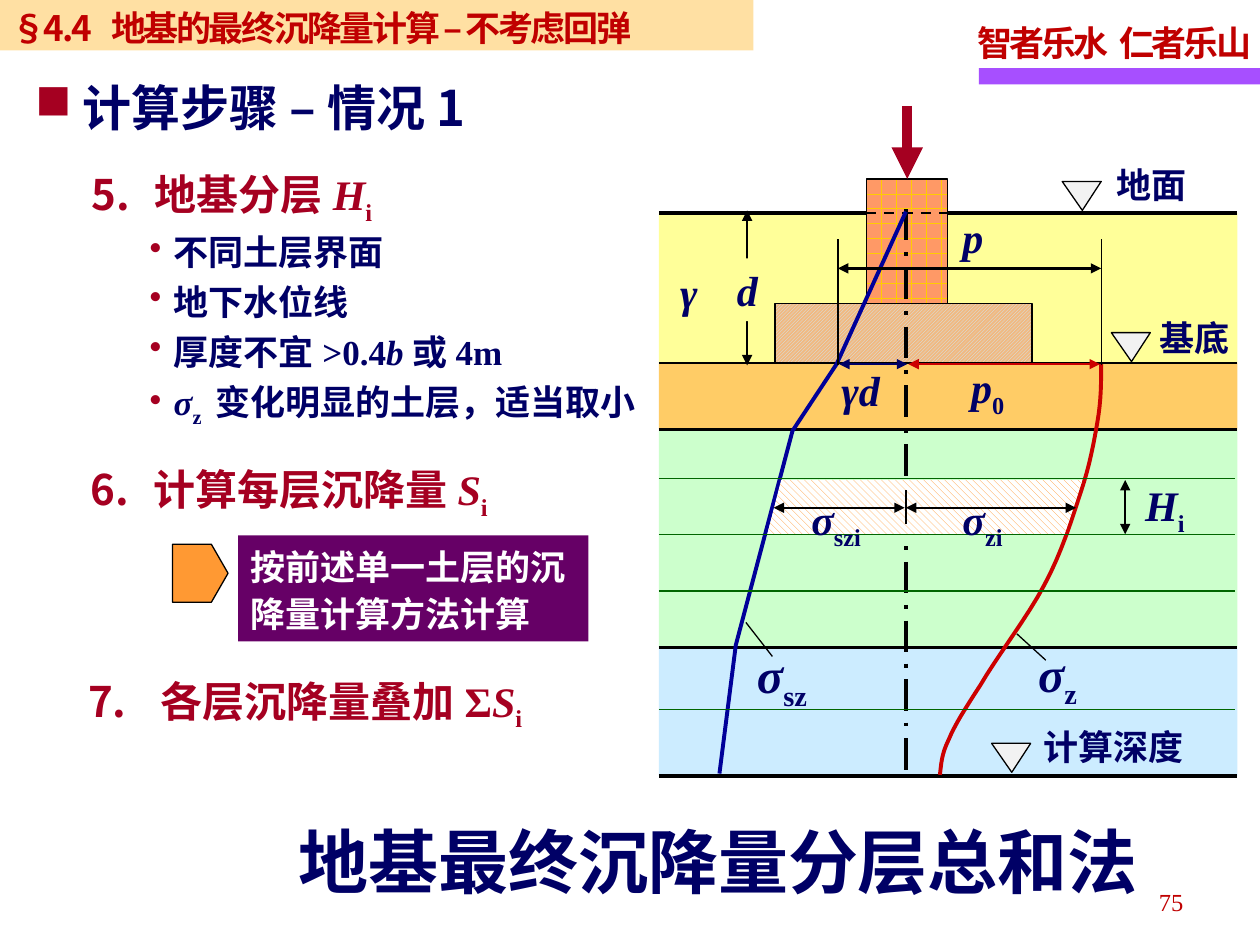
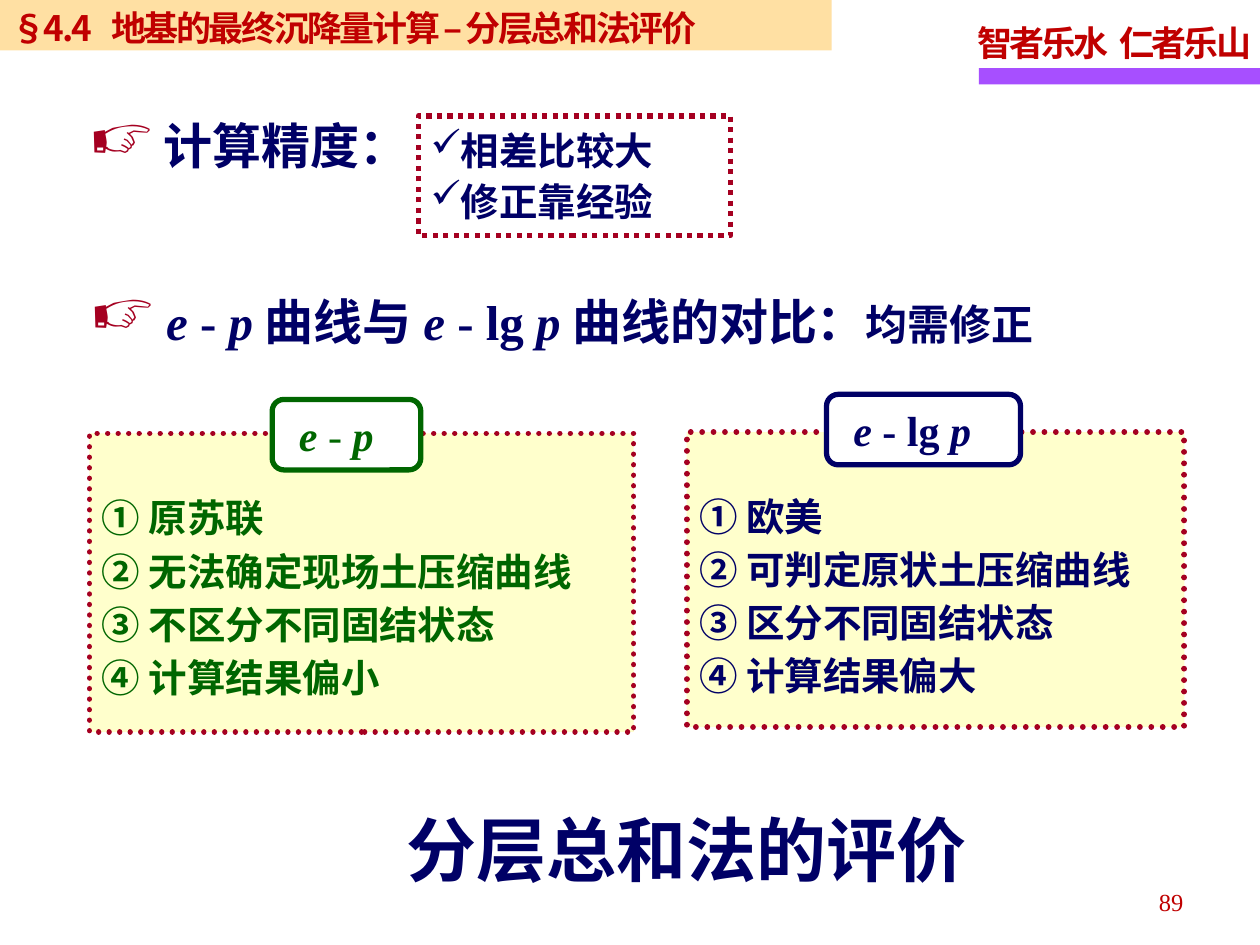
from lxml.etree import SubElement
from pptx import Presentation
from pptx.dml.color import RGBColor
from pptx.enum.dml import MSO_LINE, MSO_PATTERN
from pptx.enum.shapes import MSO_CONNECTOR, MSO_SHAPE
from pptx.enum.text import MSO_ANCHOR, PP_ALIGN
from pptx.oxml.ns import qn
from pptx.util import Pt

PX = 9144  # 100 px to the inch
SERIF, SANS, ROBOTO = "Times New Roman", "Noto Sans CJK SC", "Roboto"
COLORS = {
    "black": "000000", "white": "FFFFFF", "navy": "000066", "crimson": "A50021",
    "red": "C00000", "curve_red": "CC0000", "curve_blue": "000099", "green": "006600",
    "violet": "A74FFF", "purple": "660066", "amber": "FFCC66", "orange": "FF9933",
    "sand": "FFFF99", "mint": "CCFFCC", "water": "CCECFF", "cream": "FFFFCC",
    "grey": "F2F2F2", "footing": "F1B981", "brick": "FF9966", "joint": "FFCC00",
}
RGB = {name: RGBColor.from_string(value) for name, value in COLORS.items()}
ITALIC, UPRIGHT, SUB = {"italic": True}, {}, {"sub": True}
GAP = {"track": 1.7}


def block(slide, kind, at, paragraphs=(), fill=None, line=None, width=0.75, dash=None,
          insets=(10, 5, 10, 5), anchor=MSO_ANCHOR.TOP, align=PP_ALIGN.LEFT, spacing=None,
          gap=0, bullet=None, indent=0, **style):
    """Add a preset shape (or a text box if kind is None); each paragraph is a list of (text, style) runs.

    bullet is a start number, or a (character, colour, percent) tuple.
    """
    box = [value * PX for value in at]
    if kind is None:
        shape = slide.shapes.add_textbox(*box)
    else:
        shape = slide.shapes.add_shape(kind, *box)
        shape.shadow.inherit = False
    if isinstance(fill, tuple):
        shape.fill.patterned()
        shape.fill.pattern = fill[0]
        shape.fill.fore_color.rgb, shape.fill.back_color.rgb = RGB[fill[1]], RGB[fill[2]]
    elif fill:
        shape.fill.solid()
        shape.fill.fore_color.rgb = RGB[fill]
    else:
        shape.fill.background()
    if line:
        shape.line.color.rgb = RGB[line]
        shape.line.width = Pt(width)
        shape.line.dash_style = dash
    else:
        shape.line.fill.background()

    frame = shape.text_frame
    frame.word_wrap = True
    frame.vertical_anchor = anchor
    frame.margin_left, frame.margin_top, frame.margin_right, frame.margin_bottom = (
        value * PX for value in insets)
    for index, runs in enumerate(paragraphs):
        paragraph = frame.add_paragraph() if index else frame.paragraphs[0]
        properties = paragraph._p.get_or_add_pPr()
        if indent:
            properties.set("marL", str(indent * PX))
            properties.set("indent", str(-indent * PX))
        if isinstance(bullet, int):
            SubElement(properties, qn("a:buFont"), typeface=SANS)
            SubElement(properties, qn("a:buAutoNum"), type="arabicPeriod", startAt=str(bullet))
        elif bullet:
            character, color, percent = bullet
            bullet_color = SubElement(properties, qn("a:buClr"))
            SubElement(bullet_color, qn("a:srgbClr"), val=COLORS[color])
            SubElement(properties, qn("a:buSzPct"), val=str(percent * 1000))
            SubElement(properties, qn("a:buChar"), char=character)
        paragraph.alignment = align
        if spacing:
            paragraph.line_spacing = spacing
        paragraph.space_before = Pt(gap if index else 0)
        paragraph.space_after = Pt(gap)
        for text, changes in runs:
            look = {"size": 20, "color": "navy", "font": SERIF, "bold": True, **style, **changes}
            run = paragraph.add_run()
            run.text = text
            run.font.name, run.font.size = look["font"], Pt(look["size"])
            run.font.bold, run.font.italic = look["bold"], look.get("italic", False)
            run.font.color.rgb = RGB[look["color"]]
            run_properties = run._r.get_or_add_rPr()
            SubElement(run_properties, qn("a:ea"), typeface=SANS)
            if look.get("sub"):
                run_properties.set("baseline", "-25000")
            if "track" in look:
                run_properties.set("spc", str(round(look["track"] * 100)))
    return shape


def connect(slide, start, end, color="black", width=0.75, heads="", dash=None):
    """Add a straight line; heads may hold "head", "tail" or both."""
    connector = slide.shapes.add_connector(
        MSO_CONNECTOR.STRAIGHT, *(value * PX for value in (*start, *end)))
    connector.line.color.rgb = RGB[color]
    connector.line.width = Pt(width)
    connector.line.dash_style = dash
    outline = connector.line._get_or_add_ln()
    for side in ("head", "tail"):
        if side in heads:
            SubElement(outline, qn(f"a:{side}End"), type="triangle")
    SubElement(connector._element.spPr, qn("a:effectLst"))
    return connector


presentation = Presentation()
presentation.slide_width, presentation.slide_height = 1000 * PX, 750 * PX
RECT, ROUND = MSO_SHAPE.RECTANGLE, MSO_SHAPE.ROUNDED_RECTANGLE

# Motto, section band, large caption and page number on both slides
slides = []
for topic, band_width, caption, caption_box, page in (
    ("不考虑回弹", 599, "地基最终沉降量分层总和法", (208, 645, 724, 77), "75"),
    ("分层总和法评价", 661, "分层总和法的评价", (235, 635, 620, 77), "89"),
):
    slide = presentation.slides.add_slide(presentation.slide_layouts[6])
    slides.append(slide)
    block(slide, RECT, (777, 54, 223, 13), fill="violet")
    block(slide, None, (766, 7, 234, 49),
          [[("智者乐水", {}), (" ", GAP), ("仁者乐山", {})]],
          insets=(10, 5, 0, 5), spacing=1.15, color="red", track=-1.7)
    band = block(slide, RECT, (-1, 0, band_width, 40),
                 [[("§4.4", {}), (" ", GAP), (f"地基的最终沉降量计算 – {topic}", {})]],
                 fill="amber", font=SANS, color="red", track=-1.4)
    band_color = band._element.spPr.find(".//" + qn("a:srgbClr"))
    SubElement(band_color, qn("a:alpha"), val="60000")
    block(slide, None, caption_box, [[(caption, {})]], insets=(0, 5, 0, 5),
          align=PP_ALIGN.CENTER, size=40, font=SANS)
    block(slide, None, (716, 696, 233, 40), [[(page, {})]], align=PP_ALIGN.RIGHT,
          spacing=1.15, size=14, color="red", bold=False)
steps, review = slides

# Slide 1: calculation steps
block(steps, None, (18, 57, 388, 57),
      [[(" 计算步骤 ", {}), ("– ", {"font": SERIF}), ("情况1", {})]],
      bullet=("■", "crimson", 100), size=28, font=SANS)
for number, at, label, symbol in (
    (5, (63, 120, 283, 54), "地基分层", "H"),
    (6, (62, 354, 401, 54), "计算每层沉降量", "S"),
    (7, (60, 522, 401, 54), " 各层沉降量叠加Σ", "S"),
):
    block(steps, None, at, [[(label, {}), (symbol, ITALIC), ("i", SUB)]],
          bullet=number, indent=50, spacing=1.2, size=24, color="crimson")
block(steps, None, (109, 175, 430, 168),
      [[("不同土层界面", {})],
       [("地下水位线", {})],
       [("厚度不宜>0.4", {}), ("b", ITALIC), ("或4m", {})],
       [("σ", ITALIC), ("z ", SUB), ("变化明显的土层，适当取小", {})]],
      bullet=("•", "crimson", 100), indent=19, spacing=1.1, gap=1)
block(steps, RECT, (189, 425, 278, 84), [[("按前述单一土层的沉降量计算方法计算", {})]],
      fill="purple", spacing=1.1, color="white")
pointer = block(steps, MSO_SHAPE.PENTAGON, (137, 432, 44, 46), fill="orange", line="black")
pointer.adjustments[0] = 0.3

# Soil profile
soil_left, soil_right, axis_x = 523, 982, 719
boundaries = (169, 288, 341, 514, 616)
for top, bottom, soil in zip(boundaries, boundaries[1:], ("sand", "amber", "mint", "water")):
    block(steps, RECT, (soil_left, top, soil_right - soil_left, bottom - top), fill=soil)
for y in boundaries:
    outer = y in (boundaries[0], boundaries[-1])
    connect(steps, (soil_left, y), (soil_right, y), width=2.25 if outer else 1.5)

# Foundation, load and depth
block(steps, RECT, (615, 241, 204, 47), line="black", width=1,
      fill=(MSO_PATTERN.DARK_UPWARD_DIAGONAL, "water", "footing"))
column = block(steps, RECT, (688, 142, 64, 99), line="black",
               fill=(MSO_PATTERN.HORIZONTAL_BRICK, "joint", "brick"))
load = connect(steps, (720, 84), (720, 142), "crimson", 6, "tail")
load.end_connect(column, 0)
connect(steps, (593, 167), (593, 290), width=1.5, heads="head tail")
connect(steps, (687, 169), (757, 169), width=1.5, dash=MSO_LINE.DASH)
connect(steps, (axis_x, 166), (axis_x, 615), width=2.25, dash=MSO_LINE.LONG_DASH_DOT)

# Stress curves, sliced layer and level marks
red_bends = ((874, 289), (874, 303), (874, 318), (871, 335), (868, 352), (865, 369),
             (858, 390), (851, 411), (843, 438), (829, 464), (816, 489), (790, 523),
             (778, 544), (765, 564), (758, 575), (753, 587), (747, 599), (747, 607), (746, 615))
red_curve = [red_bends[0]]
for first in range(0, len(red_bends) - 1, 3):
    for step in range(1, 9):
        t = step / 8
        weights = ((1 - t) ** 3, 3 * t * (1 - t) ** 2, 3 * t * t * (1 - t), t ** 3)
        red_curve.append(tuple(
            sum(weight * point[axis] for weight, point in zip(weights, red_bends[first:first + 4]))
            for axis in (0, 1)))
blue_curve = [(719, 168), (664, 289), (629, 342), (584, 512), (571, 614)]
slice_outline = [(620, 381), (859, 381), (852, 403), (845, 424), (609, 424)]
level_marks = [[(x, y), (x + 31, y), (x + 16, y + 23)]
               for x, y in ((843, 144), (882, 264), (787, 590))]
hatch = (MSO_PATTERN.WIDE_DOWNWARD_DIAGONAL, "orange", "white")
for points, fill, line, width in (
    (blue_curve, None, "curve_blue", 2.25),
    (red_curve, None, "curve_red", 2.25),
    (slice_outline, hatch, None, 0),
    *((mark, "grey", "black", 0.75) for mark in level_marks),
):
    corners = [(x * PX, y * PX) for x, y in points]
    builder = steps.shapes.build_freeform(*corners[0], scale=1.0)
    builder.add_line_segments(corners[1:], close=fill is not None)
    outline = builder.convert_to_shape()
    outline.shadow.inherit = False
    if fill is hatch:
        outline.fill.patterned()
        outline.fill.pattern = hatch[0]
        outline.fill.fore_color.rgb, outline.fill.back_color.rgb = RGB[hatch[1]], RGB[hatch[2]]
    elif fill:
        outline.fill.solid()
        outline.fill.fore_color.rgb = RGB[fill]
    else:
        outline.fill.background()
    if line:
        outline.line.color.rgb = RGB[line]
        outline.line.width = Pt(width)
    else:
        outline.line.fill.background()

# Dimension arrows, leaders and sublayer lines
for start, end, color, width, heads in (
    ((874, 290), (874, 190), "black", 0.75, ""),
    ((665, 290), (665, 190), "black", 0.75, ""),
    ((665, 213), (874, 213), "black", 1.5, "head tail"),
    ((721, 289), (873, 289), "curve_red", 1.5, "head tail"),
    ((666, 289), (720, 289), "navy", 1.5, "head tail"),
    ((592, 494), (613, 521), "black", 0.75, ""),
    ((807, 503), (830, 524), "black", 0.75, ""),
    ((893, 381), (893, 424), "black", 1.5, "head tail"),
    ((614, 403), (718, 403), "black", 1, "head tail"),
    ((719, 403), (854, 403), "black", 1, "head tail"),
    ((axis_x, 389), (axis_x, 416), "black", 1, ""),
):
    connect(steps, start, end, color, width, heads)
for y in (380, 424, 469, 563):
    connect(steps, (soil_left, y), (980, y), "green")

# Symbols and level names
for at, symbol, subscript, size, fill in (
    ((575, 205, 35, 50), "d", "", 24, "sand"),
    ((530, 207, 35, 50), "γ", "", 24, "sand"),
    ((754, 163, 52, 50), "p", "", 24, None),
    ((761, 282, 85, 50), "p", "0", 24, None),
    ((658, 284, 70, 50), "γd", "", 24, None),
    ((814, 506, 80, 57), "σ", "z", 28, None),
    ((591, 507, 90, 57), "σ", "sz", 28, None),
    ((899, 376, 66, 50), "H", "i", 24, None),
    ((634, 387, 85, 50), "σ", "szi", 24, None),
    ((754, 387, 80, 50), "σ", "zi", 24, None),
):
    runs = [(symbol, ITALIC)] + ([(subscript, SUB)] if subscript else [])
    block(steps, None, at, [runs], fill=fill, size=size)
for at, name in (((876, 125, 105, 43), "地面"), ((910, 246, 81, 43), "基底"),
                 ((818, 571, 153, 43), "计算深度")):
    block(steps, None, at, [[(name, {})]], font=ROBOTO)

# Slide 2: accuracy and comparison of the two curves
hand = ("☞", "crimson", 130)
block(review, ROUND, (58, 84, 369, 62), [[(" 计算精度：", {})]], bullet=hand, size=28)
block(review, RECT, (332, 92, 248, 95), [[("相差比较大", {})], [("修正靠经验", {})]],
      line="crimson", width=3, dash=MSO_LINE.ROUND_DOT, bullet=("✓", "navy", 100),
      spacing=1.1, size=22, font=SANS)
block(review, ROUND, (59, 223, 799, 64),
      [[(" ", {}), ("e ", ITALIC), ("- ", {}), ("p", ITALIC), ("曲线与", {}),
        ("e ", ITALIC), ("- lg ", {}), ("p", ITALIC), ("曲线的对比：", {}),
        ("均需修正", {"size": 24})]],
      bullet=hand, size=28)
for card_box, dot_width, tag_box, operator, operator_style, color, points in (
    ((71, 344, 432, 237), 3, (216, 317, 118, 56), "- ", {"bold": False}, "green",
     ("① 原苏联", "② 无法确定现场土压缩曲线", "③ 不区分不同固结状态", "④ 计算结果偏小")),
    ((545, 343, 395, 234), 3.25, (656, 313, 154, 56), "- lg ", {}, "navy",
     ("① 欧美", "② 可判定原状土压缩曲线", "③ 区分不同固结状态", "④ 计算结果偏大")),
):
    card = block(review, RECT, card_box, [[(point, {})] for point in points],
                 fill="cream", line="crimson", width=dot_width, dash=MSO_LINE.ROUND_DOT,
                 insets=(10, 43, 10, 5), spacing=1.15, size=22, font=SANS, color=color)
    card.line._get_or_add_ln().set("cap", "rnd")
    block(review, ROUND, tag_box,
          [[(" ", {"font": "Montserrat", "bold": False}), ("e ", ITALIC),
            (operator, operator_style), ("p", ITALIC)]],
          fill="white", line=color, width=3, anchor=MSO_ANCHOR.MIDDLE, size=24, color=color)

presentation.save("out.pptx")
